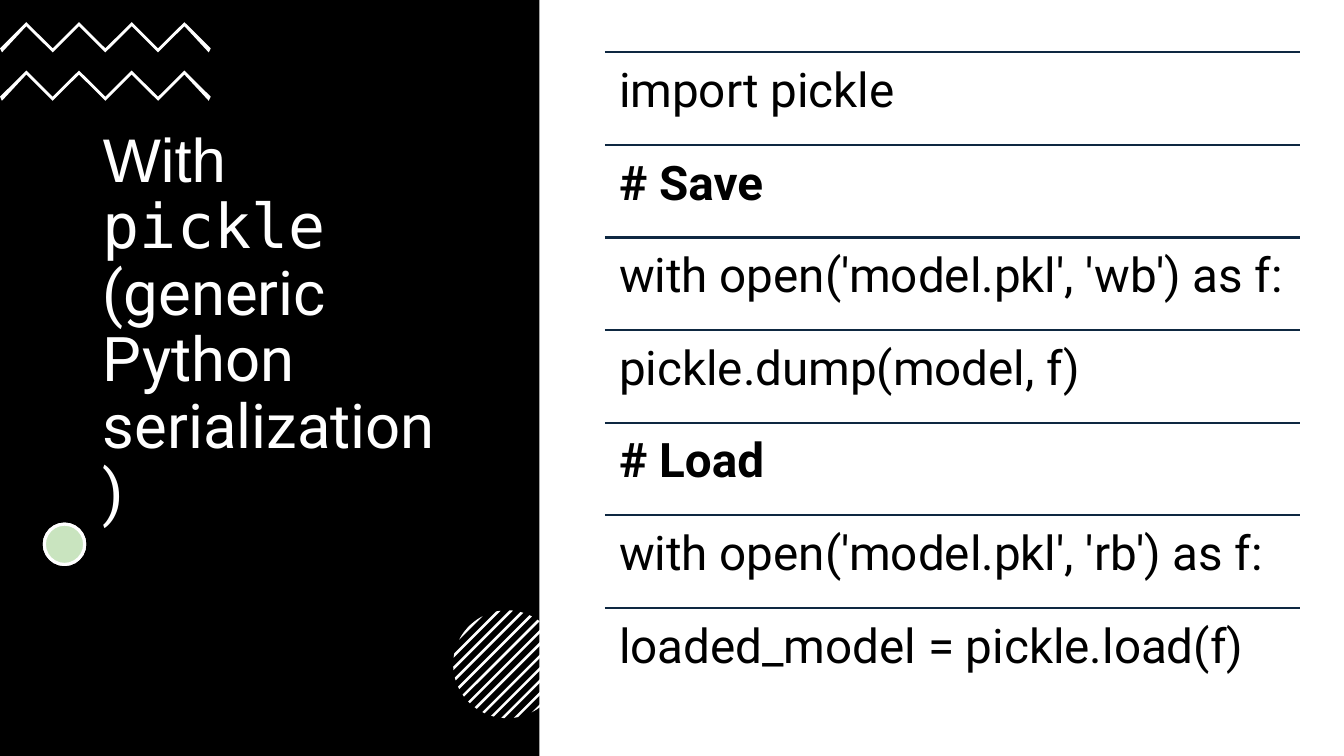
import math

from lxml import etree
from pptx import Presentation
from pptx.dml.color import RGBColor
from pptx.enum.shapes import MSO_CONNECTOR, MSO_SHAPE
from pptx.enum.text import MSO_ANCHOR, MSO_AUTO_SIZE, PP_ALIGN
from pptx.oxml.ns import qn
from pptx.util import Inches, Pt

RECTANGLE, OVAL = MSO_SHAPE.RECTANGLE, MSO_SHAPE.OVAL
STRAIGHT = MSO_CONNECTOR.STRAIGHT
MIDDLE, TOP = MSO_ANCHOR.MIDDLE, MSO_ANCHOR.TOP
LEFT = PP_ALIGN.LEFT
NO_AUTOFIT = MSO_AUTO_SIZE.NONE
TITLE_ONLY = 5
BLACK, WHITE, NAVY, GREEN = "000000", "FFFFFF", "0E2841", "4EA72E"


def paint(shape, fill, line=None):
    shape.shadow.inherit = False
    shape.fill.solid()
    shape.fill.fore_color.rgb = RGBColor.from_string(fill)
    if line:
        shape.line.color.rgb = RGBColor.from_string(line)
        shape.line.width = Pt(2.25)
    else:
        shape.line.fill.background()


def add_polygon(group, points):
    """Add a closed white outline through points given in inches."""
    corners = [(Inches(x), Inches(y)) for x, y in points]
    builder = group.shapes.build_freeform(*corners[0])
    builder.add_line_segments(corners[1:], close=True)
    paint(builder.convert_to_shape(), WHITE)


presentation = Presentation()
presentation.slide_width = Inches(13.33)
presentation.slide_height = Inches(7.5)
slide = presentation.slides.add_slide(presentation.slide_layouts[TITLE_ONLY])

# Title on the black panel
title = slide.shapes.title
panel = slide.shapes.add_shape(RECTANGLE, 0, 0, Inches(5.35), Inches(7.5))
paint(panel, BLACK)
title.element.addprevious(panel.element)

title.left, title.top = Inches(0.92), Inches(1.31)
title.width, title.height = Inches(3.5), Inches(4.63)
frame = title.text_frame
frame.word_wrap = True
frame.auto_size = NO_AUTOFIT
frame.vertical_anchor = MIDDLE
paragraph = frame.paragraphs[0]
paragraph.alignment = LEFT
paragraph.line_spacing = 0.9
for text, font_name in [
    ("With ", "Arial"),
    ("pickle", "DejaVu Sans Mono"),
    (" (generic Python serialization) ", "Roboto"),
]:
    run = paragraph.add_run()
    run.text = text
    run.font.name = font_name
    run.font.size = Pt(44)
    run.font.color.rgb = RGBColor.from_string(WHITE)
paragraph.add_line_break()

# Zigzags
zigzags = slide.shapes.add_group_shape()
ZIGZAG_WIDTH, ZIGZAG_TURNS = 2.09, 8
for zigzag_top in (0.22, 0.7):
    upper = [
        (ZIGZAG_WIDTH * i / ZIGZAG_TURNS, zigzag_top + (0.26 if i % 2 == 0 else 0))
        for i in range(ZIGZAG_TURNS + 1)
    ]
    lower = [
        (min(max(x, 0.02), ZIGZAG_WIDTH - 0.02), y + 0.04) for x, y in reversed(upper)
    ]
    add_polygon(zigzags, upper + lower)

# Green dot
for color in (WHITE, GREEN):
    dot = slide.shapes.add_shape(
        OVAL, Inches(0.44), Inches(5.2), Inches(0.4), Inches(0.4)
    )
    paint(dot, color, WHITE)
dot_color = dot.element.spPr.find(qn("a:solidFill"))[0]
etree.SubElement(dot_color, qn("a:alpha")).set("val", "30000")

# Disc of diagonal stripes, each bounded by two chords and two arcs
stripes = slide.shapes.add_group_shape()
CENTER_X, CENTER_Y, RADIUS = 5.03, 6.59, 0.535
STRIPE_PITCH, HALF_STRIPE, ARC_STEPS = 0.123, 0.018, 6
for number in range(-6, 7):
    sides = {1: [], -1: []}
    for step in range(ARC_STEPS + 1):
        offset = number * STRIPE_PITCH + HALF_STRIPE * (2 * step / ARC_STEPS - 1)
        half_angle = math.acos(offset / math.sqrt(2) / RADIUS)
        for side, points in sides.items():
            angle = math.pi / 4 + side * half_angle
            points.append(
                (
                    CENTER_X + RADIUS * math.cos(angle),
                    CENTER_Y + RADIUS * math.sin(angle),
                )
            )
    add_polygon(stripes, sides[1] + sides[-1][::-1])

# Code rows, each under a rule
code_lines = [
    "import pickle",
    "# Save",
    "with open('model.pkl', 'wb') as f:",
    "pickle.dump(model, f)",
    "# Load",
    "with open('model.pkl', 'rb') as f:",
    "loaded_model = pickle.load(f)",
]
ROWS_LEFT, ROWS_WIDTH = Inches(6), Inches(6.89)
FIRST_TOP, LAST_TOP = 0.52, 6.03
row_pitch = (LAST_TOP - FIRST_TOP) / (len(code_lines) - 1)
margins = ("margin_left", "margin_top", "margin_right", "margin_bottom")
rows = slide.shapes.add_group_shape()
for number, code in enumerate(code_lines):
    row_top = Inches(FIRST_TOP + number * row_pitch)
    rule = rows.shapes.add_connector(
        STRAIGHT, ROWS_LEFT, row_top, ROWS_LEFT + ROWS_WIDTH, row_top
    )
    rule.line.color.rgb = RGBColor.from_string(NAVY)
    rule.line.width = Pt(1.5)
    etree.SubElement(rule.element.spPr, qn("a:effectLst"))

    box = rows.shapes.add_textbox(ROWS_LEFT, row_top, ROWS_WIDTH, Inches(row_pitch))
    frame = box.text_frame
    frame.word_wrap = True
    frame.vertical_anchor = TOP
    for margin in margins:
        setattr(frame, margin, Inches(0.14))
    paragraph = frame.paragraphs[0]
    paragraph.line_spacing = 0.9
    run = paragraph.add_run()
    run.text = code
    row_format = {"name": "Roboto", "size": Pt(34), "bold": code.startswith("#")}
    for attribute, value in row_format.items():
        setattr(run.font, attribute, value)
    run.font.color.rgb = RGBColor.from_string(BLACK)

presentation.save("out.pptx")
